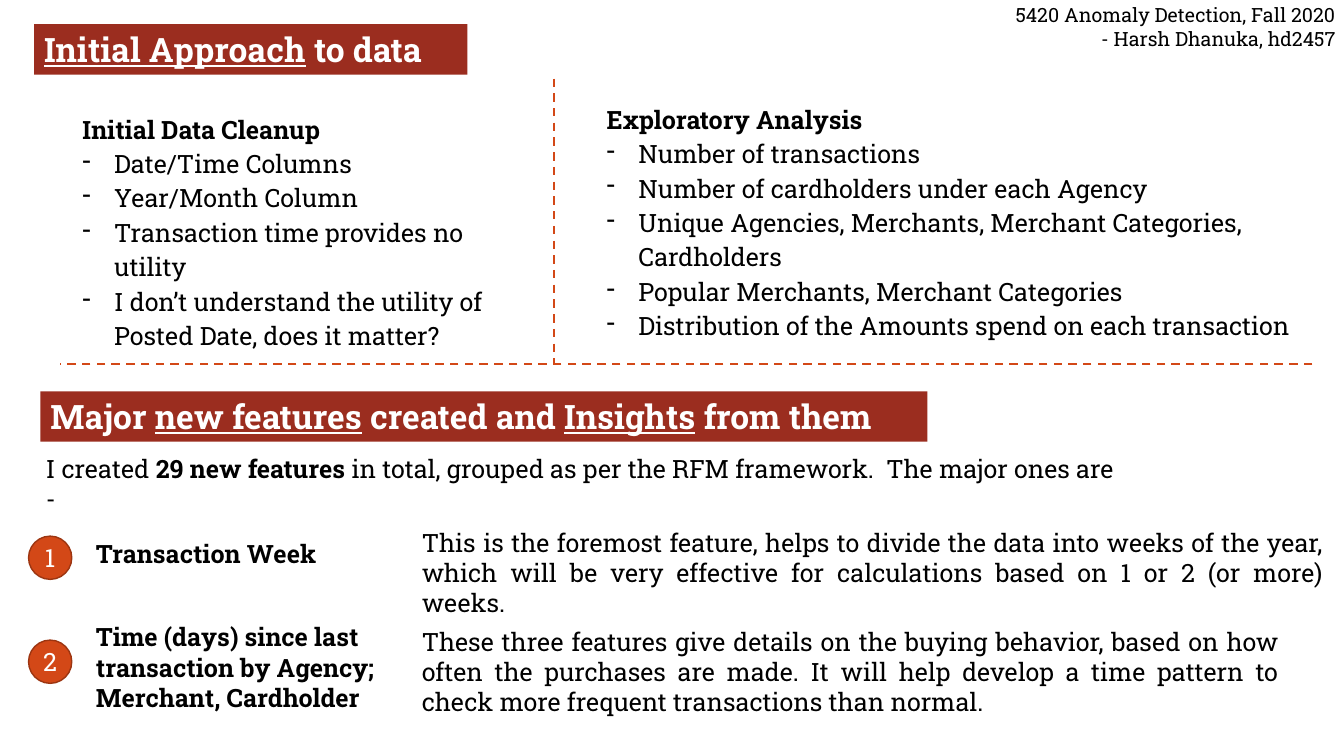
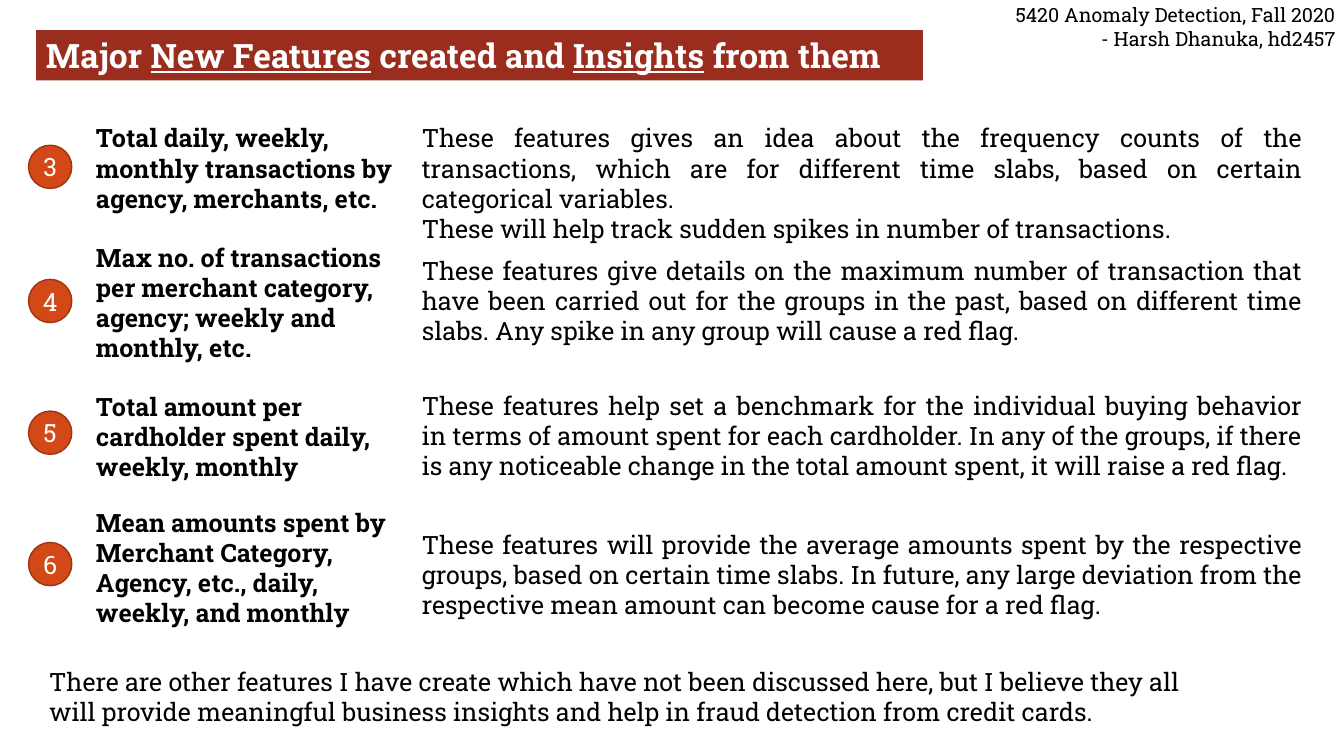
from dataclasses import dataclass

from lxml import etree
from pptx import Presentation
from pptx import util as u
from pptx.dml.color import RGBColor
from pptx.enum import dml, shapes, text
from pptx.oxml import ns


@dataclass(frozen=True)
class Theme:
    font: str = "Roboto Slab"
    banner: RGBColor = RGBColor(0x9B, 0x2D, 0x1F)
    accent: RGBColor = RGBColor(0xD3, 0x48, 0x17)
    accent_edge: RGBColor = RGBColor(0x9C, 0x35, 0x11)
    ink: RGBColor = RGBColor(0, 0, 0)
    paper: RGBColor = RGBColor(0xFF, 0xFF, 0xFF)
    title_size: int = 24
    body_size: int = 18
    header_size: int = 14
    list_spacing: float = 1.14


THEME = Theme()
ALIGN = text.PP_ALIGN

HEADER = ["5420 Anomaly Detection, Fall 2020", "- Harsh Dhanuka, hd2457"]

APPROACH_TITLE = [("Initial Approach", "u"), (" to data", "")]
INTRO = [
    ("I created ", ""),
    ("29 new features", "b"),
    (" in total, grouped as per the RFM framework.  The major ones are -", ""),
]
CLOSING = (
    "There are other features I have create which have not been discussed here, but I believe "
    "they all will provide meaningful business insights and help in fraud detection from credit cards."
)

LISTS = [
    {
        "at": (1.83, 2.64, 10.92, 6.32),
        "heading": "Initial Data Cleanup",
        "items": [
            "Date/Time Columns",
            "Year/Month Column",
            "Transaction time provides no utility",
            "I don’t understand the utility of Posted Date, does it matter?",
        ],
    },
    {
        "at": (15.04, 2.39, 18.08, 6.32),
        "heading": "Exploratory Analysis",
        "items": [
            "Number of transactions",
            "Number of cardholders under each Agency",
            "Unique Agencies, Merchants, Merchant Categories, Cardholders",
            "Popular Merchants, Merchant Categories",
            "Distribution of the Amounts spend on each transaction",
        ],
    },
]

DIVIDERS = [(13.97, 1.98, 13.97, 9.17), (33.07, 9.17, 1.52, 9.17)]

FIRST_FEATURES = [
    {
        "number": 1, "badge_top": 13.51,
        "name": ["Transaction Week"], "name_top": 13.44, "name_lines": 1,
        "insight": [
            "This is the foremost feature, helps to divide the data into weeks of the year, which "
            "will be very effective for calculations based on 1 or 2 (or more) weeks."
        ],
        "insight_top": 13.16, "insight_lines": 3, "insight_right": 33.6,
    },
    {
        "number": 2, "badge_top": 16.13,
        "name": ["Time (days) since last", "transaction by Agency; Merchant, Cardholder"],
        "name_top": 15.54, "name_lines": 3,
        "insight": [
            "These three features give details on the buying behavior, based on how often the "
            "purchases are made. It will help develop a time pattern to check more frequent "
            "transactions than normal."
        ],
        "insight_top": 15.65, "insight_lines": 3, "insight_right": 32.48,
    },
]

OTHER_FEATURES = [
    {
        "number": 3, "badge_top": 3.66,
        "name": ["Total daily, weekly, monthly transactions by agency, merchants, etc."],
        "name_top": 2.97, "name_lines": 3,
        "insight": [
            "These features gives an idea about the frequency counts of the transactions, which "
            "are for different time slabs, based on certain categorical variables.",
            "These will help track sudden spikes in number of transactions.",
        ],
        "insight_top": 2.97, "insight_lines": 4, "insight_right": 33.07,
    },
    {
        "number": 4, "badge_top": 7.04,
        "name": ["Max no. of transactions per merchant category, agency; weekly and monthly, etc."],
        "name_top": 5.97, "name_lines": 4,
        "insight": [
            "These features give details on the maximum number of transaction that have been "
            "carried out for the groups in the past, based on different time slabs. Any spike in "
            "any group will cause a red flag."
        ],
        "insight_top": 6.3, "insight_lines": 3, "insight_right": 33.07,
    },
    {
        "number": 5, "badge_top": 10.36,
        "name": ["Total amount per cardholder spent daily, weekly, monthly"],
        "name_top": 9.73, "name_lines": 3,
        "insight": [
            "These features help set a benchmark for the individual buying behavior in terms of "
            "amount spent for each cardholder. In any of the groups, if there is any noticeable "
            "change in the total amount spent, it will raise a red flag."
        ],
        "insight_top": 9.7, "insight_lines": 3, "insight_right": 33.07,
    },
    {
        "number": 6, "badge_top": 13.67,
        "name": ["Mean amounts spent by Merchant Category, Agency, etc., daily, weekly, and monthly"],
        "name_top": 12.65, "name_lines": 4,
        "insight": [
            "These features will provide the average amounts spent by the respective groups, based "
            "on certain time slabs. In future, any large deviation from the respective mean amount "
            "can become cause for a red flag."
        ],
        "insight_top": 13.21, "insight_lines": 3, "insight_right": 33.07,
    },
]

BADGE_LEFT, BADGE_SIZE = 0.72, 1.09
NAME_LEFT, NAME_WIDTH = 2.17, 8.23
INSIGHT_LEFT = 10.38
BANNER_HEIGHT = 1.27


def features_title(phrase):
    return [("Major ", ""), (phrase, "u"), (" created and ", ""), ("Insights", "u"), (" from them", "")]


def height_for(lines):
    return 0.25 + 0.77 * lines


def cm(*lengths):
    return [u.Cm(length) for length in lengths]


def write(para, content, size=THEME.body_size, color=THEME.ink, bold=False, align=ALIGN.LEFT):
    para.alignment = align
    font = para.font
    font.name, font.size, font.bold = THEME.font, u.Pt(size), bold
    font.color.rgb = color
    for words, style in [(content, "")] if isinstance(content, str) else content:
        span = para.add_run()
        span.text = words
        if style == "u":
            span.font.underline = True
        if style == "b":
            span.font.bold = True


def fill_frame(frame, contents, **style):
    for index, content in enumerate(contents):
        para = frame.add_paragraph() if index else frame.paragraphs[0]
        write(para, content, **style)


def add_text(page, at, contents, **style):
    frame = page.shapes.add_textbox(*cm(*at)).text_frame
    frame.word_wrap = True
    fill_frame(frame, contents, **style)
    return frame


def add_solid(page, kind, at, fill):
    shape = page.shapes.add_shape(kind, *cm(*at))
    shape.shadow.inherit = False
    shape.fill.solid()
    shape.fill.fore_color.rgb = fill
    return shape


def add_banner(page, left, top, width, title):
    banner = add_solid(page, shapes.MSO_SHAPE.RECTANGLE, (left, top, width, BANNER_HEIGHT), THEME.banner)
    banner.line.fill.background()
    banner.text_frame.vertical_anchor = text.MSO_ANCHOR.TOP
    fill_frame(banner.text_frame, [title], size=THEME.title_size, color=THEME.paper, bold=True)


def add_badge(page, top, number):
    badge = add_solid(page, shapes.MSO_SHAPE.OVAL, (BADGE_LEFT, top, BADGE_SIZE, BADGE_SIZE), THEME.accent)
    badge.line.color.rgb = THEME.accent_edge
    badge.line.width = u.Pt(1)
    frame = badge.text_frame
    frame.margin_left = frame.margin_right = frame.margin_top = frame.margin_bottom = 0
    frame.word_wrap = False
    frame.vertical_anchor = text.MSO_ANCHOR.MIDDLE
    fill_frame(frame, [str(number)], color=THEME.paper, align=ALIGN.CENTER)


def add_divider(page, ends):
    divider = page.shapes.add_connector(shapes.MSO_CONNECTOR.STRAIGHT, *cm(*ends))
    divider.line.color.rgb = THEME.accent
    divider.line.width = u.Pt(1.5)
    divider.line.dash_style = dml.MSO_LINE.DASH
    etree.SubElement(divider.element.spPr, ns.qn("a:effectLst"))


def add_list(page, at, heading, items):
    frame = add_text(page, at, [heading], bold=True)
    frame.paragraphs[0].line_spacing = THEME.list_spacing
    for item in items:
        para = frame.add_paragraph()
        write(para, item)
        para.line_spacing = THEME.list_spacing
        properties = para._p.get_or_add_pPr()
        properties.set("marL", str(u.Cm(0.8)))
        properties.set("indent", str(-u.Cm(0.8)))
        bullet = etree.Element(ns.qn("a:buChar"), char="-")
        properties.find(ns.qn("a:lnSpc")).addnext(bullet)


def add_feature(page, feature):
    add_badge(page, feature["badge_top"], feature["number"])
    name_at = (NAME_LEFT, feature["name_top"], NAME_WIDTH, height_for(feature["name_lines"]))
    add_text(page, name_at, feature["name"], bold=True)
    width = feature["insight_right"] - INSIGHT_LEFT
    insight_at = (INSIGHT_LEFT, feature["insight_top"], width, height_for(feature["insight_lines"]))
    add_text(page, insight_at, feature["insight"], align=ALIGN.JUSTIFY)


def add_page(deck, features):
    page = deck.slides.add_slide(deck.slide_layouts[6])
    add_text(page, (22.99, -0.05, 10.92, 1.45), HEADER, size=THEME.header_size, align=ALIGN.RIGHT)
    for feature in features:
        add_feature(page, feature)
    return page


def main():
    deck = Presentation()
    deck.slide_width, deck.slide_height = cm(33.87, 19.05)

    page = add_page(deck, FIRST_FEATURES)
    add_banner(page, 0.86, 0.61, 10.92, APPROACH_TITLE)
    for column in LISTS:
        add_list(page, **column)
    for ends in DIVIDERS:
        add_divider(page, ends)
    add_banner(page, 1.02, 9.86, 22.35, features_title("new features"))
    add_text(page, (0.91, 11.3, 27.71, height_for(2)), [INTRO])

    page = add_page(deck, OTHER_FEATURES)
    add_banner(page, 0.91, 0.76, 22.35, features_title("New Features"))
    add_text(page, (0.99, 16.66, 30.12, height_for(2)), [CLOSING])

    deck.save("out.pptx")


if __name__ == "__main__":
    main()
